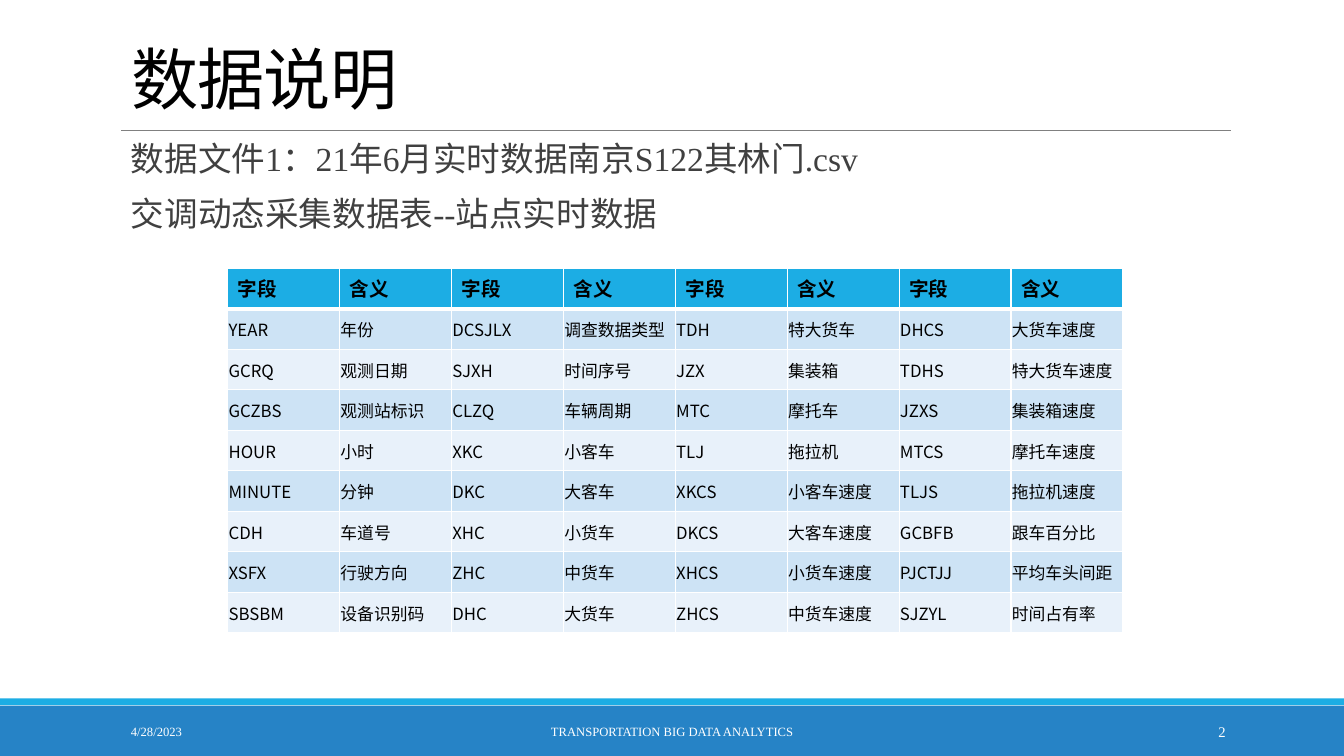
from lxml import etree
from pptx import Presentation
from pptx.dml.color import RGBColor
from pptx.enum.shapes import MSO_CONNECTOR as Connector, MSO_SHAPE as Shape
from pptx.enum.text import MSO_ANCHOR as Anchor, MSO_AUTO_SIZE as AutoSize, PP_ALIGN as Align
from pptx.oxml.ns import qn
from pptx.util import Cm, Pt

BLACK = RGBColor(0x00, 0x00, 0x00)
WHITE = RGBColor(0xFF, 0xFF, 0xFF)
GRAY = RGBColor(0x80, 0x80, 0x80)
DARK_GRAY = RGBColor(0x40, 0x40, 0x40)
BLUE = RGBColor(0x26, 0x83, 0xC6)
CYAN = RGBColor(0x1C, 0xAD, 0xE4)
BANDS = (RGBColor(0xCD, 0xE3, 0xF5), RGBColor(0xE8, 0xF1, 0xFA))

SERIF = "Times New Roman"
SANS = "Noto Sans CJK SC"
SLIDE_WIDTH = Cm(33.87)
SLIDE_HEIGHT = Cm(19.05)

TITLE = "数据说明"
BODY = ("数据文件1：21年6月实时数据南京S122其林门.csv", "交调动态采集数据表--站点实时数据")
HEADER = ("字段", "含义") * 4
ROWS = (
    ("YEAR", "年份", "DCSJLX", "调查数据类型", "TDH", "特大货车", "DHCS", "大货车速度"),
    ("GCRQ", "观测日期", "SJXH", "时间序号", "JZX", "集装箱", "TDHS", "特大货车速度"),
    ("GCZBS", "观测站标识", "CLZQ", "车辆周期", "MTC", "摩托车", "JZXS", "集装箱速度"),
    ("HOUR", "小时", "XKC", "小客车", "TLJ", "拖拉机", "MTCS", "摩托车速度"),
    ("MINUTE", "分钟", "DKC", "大客车", "XKCS", "小客车速度", "TLJS", "拖拉机速度"),
    ("CDH", "车道号", "XHC", "小货车", "DKCS", "大客车速度", "GCBFB", "跟车百分比"),
    ("XSFX", "行驶方向", "ZHC", "中货车", "XHCS", "小货车速度", "PJCTJJ", "平均车头间距"),
    ("SBSBM", "设备识别码", "DHC", "大货车", "ZHCS", "中货车速度", "SJZYL", "时间占有率"),
)


def format_runs(paragraph, size, color, font_name=SERIF, bold=False):
    for run in paragraph.runs:
        font = run.font
        font.size, font.bold, font.name = Pt(size), bold, font_name
        font.color.rgb = color
        east_asian = etree.Element(qn("a:ea"), typeface=SANS)
        font._element.find(qn("a:latin")).addnext(east_asian)


def place(shape, left, top, width, height):
    shape.left, shape.top = Cm(left), Cm(top)
    shape.width, shape.height = Cm(width), Cm(height)


def add_bar(slide, top, height, color):
    bar = slide.shapes.add_shape(Shape.RECTANGLE, 0, Cm(top), SLIDE_WIDTH, Cm(height))
    bar.shadow.inherit = False
    bar.fill.solid()
    bar.fill.fore_color.rgb = color
    bar.line.fill.background()


def add_title_rule(slide):
    rule = slide.shapes.add_connector(Connector.STRAIGHT, Cm(3.05), Cm(3.28), Cm(31.01), Cm(3.28))
    rule.line.color.rgb = GRAY
    rule.line.width = Pt(0.5)
    etree.SubElement(rule._element.spPr, qn("a:effectLst"))


def fill_title(slide):
    title = slide.shapes.title
    place(title, 3.05, 0.33, 27.94, 2.77)
    frame = title.text_frame
    frame.text = TITLE
    frame.auto_size = AutoSize.NONE
    frame.vertical_anchor = Anchor.BOTTOM
    paragraph = frame.paragraphs[0]
    paragraph.alignment = Align.LEFT
    paragraph.line_spacing = 0.85
    format_runs(paragraph, 48, BLACK)
    paragraph.runs[0].font._element.set("spc", "-50")


def set_blank_bullet(paragraph):
    properties = paragraph._p.get_or_add_pPr()
    properties.set("marL", str(Cm(0.25)))
    properties.set("indent", str(-Cm(0.25)))
    bullet_color = etree.SubElement(properties, qn("a:buClr"))
    etree.SubElement(bullet_color, qn("a:srgbClr"), val=str(CYAN))
    etree.SubElement(properties, qn("a:buChar"), char=" ")


def fill_body(slide):
    body = slide.placeholders[1]
    place(body, 3.05, 3.45, 27.94, 3.3)
    frame = body.text_frame
    frame.text = "\n".join(BODY)
    frame.auto_size = AutoSize.NONE
    frame.vertical_anchor = Anchor.TOP
    frame.margin_left = frame.margin_right = 0
    for index, paragraph in enumerate(frame.paragraphs):
        set_blank_bullet(paragraph)
        paragraph.line_spacing = 0.9
        paragraph.space_before = Pt(12 if index else 0)
        paragraph.space_after = Pt(2)
        format_runs(paragraph, 24, DARK_GRAY)


def add_footer(slide, text, left, width, size, alignment):
    box = slide.shapes.add_textbox(Cm(left), Cm(17.93), Cm(width), Cm(1.02))
    frame = box.text_frame
    frame.text = text
    frame.word_wrap = True
    frame.vertical_anchor = Anchor.MIDDLE
    paragraph = frame.paragraphs[0]
    paragraph.alignment = alignment
    format_runs(paragraph, size, WHITE)


def set_borders(cell, bottom_width):
    properties = cell._tc.get_or_add_tcPr()
    for side, width in (("L", 1), ("R", 1), ("T", 1), ("B", bottom_width)):
        border = etree.SubElement(properties, qn("a:ln" + side), w=str(Pt(width)))
        fill = etree.SubElement(border, qn("a:solidFill"))
        etree.SubElement(fill, qn("a:srgbClr"), val=str(WHITE))


def fill_cell(cell, text, row):
    is_header = row == 0
    cell.text = text
    set_borders(cell, 3 if is_header else 1)
    cell.fill.solid()
    cell.fill.fore_color.rgb = CYAN if is_header else BANDS[(row - 1) % 2]
    paragraph = cell.text_frame.paragraphs[0]
    if is_header:
        format_runs(paragraph, 14, BLACK, bold=True)
    else:
        cell.vertical_anchor = Anchor.MIDDLE
        cell.margin_left = cell.margin_right = cell.margin_top = Cm(0.02)
        cell.margin_bottom = 0
        format_runs(paragraph, 12, BLACK, SANS)


def add_field_table(slide):
    lines = (HEADER,) + ROWS
    frame = slide.shapes.add_table(
        len(lines), len(HEADER), Cm(5.74), Cm(6.76),
        Cm(2.82) * len(HEADER), Cm(1.02) * len(lines))
    for row, line in enumerate(lines):
        for column, text in enumerate(line):
            fill_cell(frame.table.cell(row, column), text, row)


def main():
    presentation = Presentation()
    presentation.slide_width = SLIDE_WIDTH
    presentation.slide_height = SLIDE_HEIGHT
    slide = presentation.slides.add_slide(presentation.slide_layouts[1])
    add_bar(slide, 17.78, 1.27, BLUE)
    add_bar(slide, 17.6, 0.17, CYAN)
    add_title_rule(slide)
    fill_title(slide)
    add_footer(slide, "4/28/2023", 3.05, 6.86, 9, Align.LEFT)
    add_footer(slide, "TRANSPORTATION BIG DATA ANALYTICS", 10.24, 13.39, 9, Align.CENTER)
    add_footer(slide, "2", 27.51, 3.63, 10.5, Align.RIGHT)
    fill_body(slide)
    add_field_table(slide)
    presentation.save("out.pptx")


if __name__ == "__main__":
    main()
